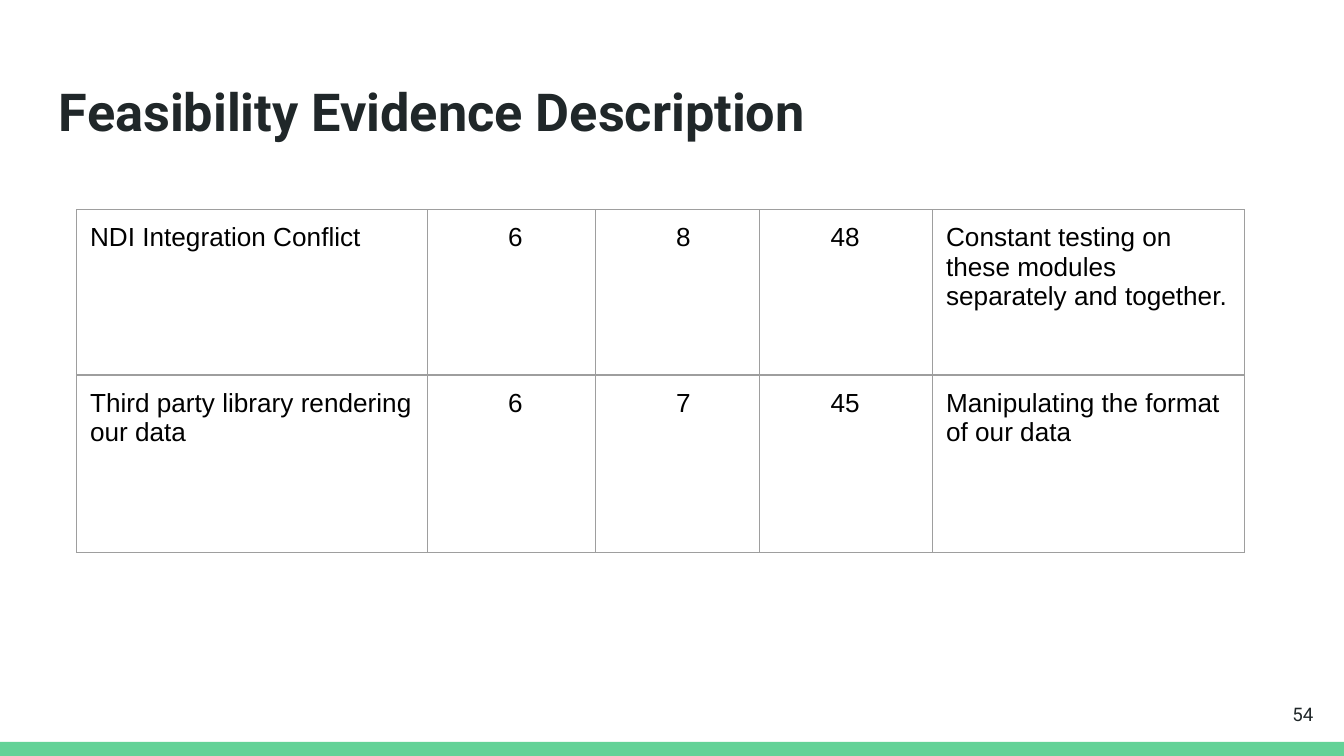
import pptx
import pptx.dml.color
import pptx.enum.shapes
import pptx.enum.text
import pptx.oxml
import pptx.oxml.ns
import pptx.util
from pptx.util import Inches

ALIGN = pptx.enum.text.PP_ALIGN
ANCHOR = pptx.enum.text.MSO_ANCHOR


def color(hex_string):
    return pptx.dml.color.RGBColor.from_string(hex_string)


def write_text(frame, text, size=14, font="Arial", ink="000000", bold=False,
               align=ALIGN.LEFT, indent=0):
    frame.word_wrap = True
    paragraph = frame.paragraphs[0]
    paragraph.text = text
    paragraph.alignment = align
    properties = paragraph._p.get_or_add_pPr()
    properties.set("marL", str(Inches(indent)))
    properties.set("indent", "0")
    paragraph.font.size = pptx.util.Pt(size)
    paragraph.font.name = font
    paragraph.font.bold = bold
    paragraph.font.color.rgb = color(ink)


# Widescreen slide, 16:9
presentation = pptx.Presentation()
presentation.slide_width = Inches(10)
presentation.slide_height = Inches(10 * 9 / 16)
slide = presentation.slides.add_slide(presentation.slide_layouts[6])
slide.background.fill.solid()
slide.background.fill.fore_color.rgb = color("FFFFFF")

# Green footer bar
bar = slide.shapes.add_shape(pptx.enum.shapes.MSO_SHAPE.RECTANGLE,
                             Inches(0), Inches(5.52), Inches(10), Inches(0.11))
bar.shadow.inherit = False
bar.fill.solid()
bar.fill.fore_color.rgb = color("63D297")
bar.line.fill.background()

# Title and page number
labels = [
    ("Feasibility Evidence Description", (0.34, 0.49, 9.32, 0.63), ANCHOR.TOP,
     {"size": 28, "bold": True}),
    ("54", (9.27, 5.1, 0.6, 0.43), ANCHOR.MIDDLE,
     {"size": 10, "align": ALIGN.RIGHT}),
]
for text, box, anchor, text_format in labels:
    frame = slide.shapes.add_textbox(*map(Inches, box)).text_frame
    frame.margin_left = frame.margin_right = Inches(0.1)
    frame.margin_top = frame.margin_bottom = Inches(0.1)
    frame.vertical_anchor = anchor
    write_text(frame, text, font="Roboto", ink="202729", **text_format)

# Risk table
risks = [
    ("NDI Integration Conflict", "6", "8", "48",
     "Constant testing on these modules separately and together."),
    ("Third party library rendering our data", "6", "7", "45",
     "Manipulating the format of our data"),
]
column_widths = [2.61, 1.25, 1.22, 1.29, 2.32]
column_indents = [0, 0.5, 0.5, 0.43, 0]
row_heights = [1.23, 1.32]
table = slide.shapes.add_table(
    len(risks), len(column_widths), Inches(0.57), Inches(1.56),
    Inches(sum(column_widths)), Inches(sum(row_heights))).table
table.first_row = False
table.horz_banding = False
for column, width in zip(table.columns, column_widths):
    column.width = Inches(width)

for row, height, risk in zip(table.rows, row_heights, risks):
    row.height = Inches(height)
    for cell, text, indent in zip(row.cells, risk, column_indents):
        cell.margin_left = cell.margin_right = Inches(0.1)
        cell.margin_top = cell.margin_bottom = Inches(0.1)
        write_text(cell.text_frame, text, indent=indent)

        # Borders come before the fill in the cell properties
        cell_properties = cell._tc.get_or_add_tcPr()
        for side in ("lnL", "lnR", "lnT", "lnB"):
            cell_properties.append(pptx.oxml.parse_xml(
                f'<a:{side} {pptx.oxml.ns.nsdecls("a")} w="{pptx.util.Pt(0.75)}">'
                f'<a:solidFill><a:srgbClr val="9E9E9E"/></a:solidFill></a:{side}>'))
        cell.fill.background()

presentation.save("out.pptx")
